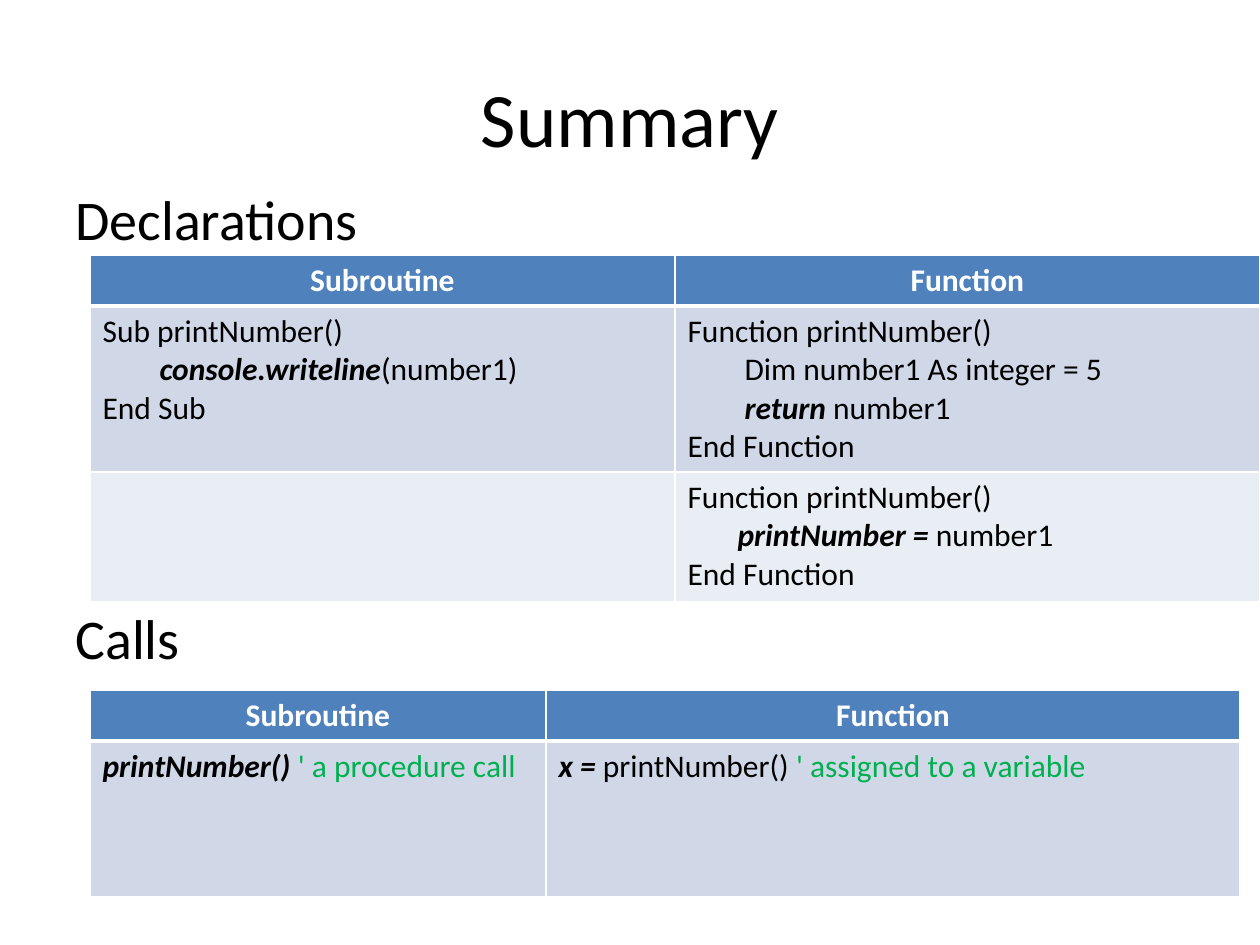
from dataclasses import dataclass

from lxml import etree
from pptx import Presentation
from pptx import util as u
from pptx.dml.color import RGBColor
from pptx.enum import text
from pptx.oxml import ns

EMU_PER_PX = 914400 / 126
FONT = "Calibri"
BLACK, WHITE, GREEN = "000000", "FFFFFF", "00B050"
HEADER_FILL = "4F81BD"
BAND_FILLS = ["D0D8E8", "E9EDF4"]


@dataclass(frozen=True)
class Span:
    words: str
    color: str = BLACK
    bold: bool = False
    italic: bool = False


@dataclass(frozen=True)
class Line:
    spans: list[Span]
    indent: int = 0


@dataclass(frozen=True)
class Heading:
    words: str
    top: int


@dataclass(frozen=True)
class Grid:
    top: int
    widths: list[int]
    heights: list[int]
    rows: list[list[list[Line]]]


def px(length: int) -> u.Emu:
    return u.Emu(round(length * EMU_PER_PX))


def rgb(color: str) -> RGBColor:
    return RGBColor.from_string(color)


def plain(words: str, indent: int = 0) -> Line:
    return Line([Span(words)], indent)


def strong(words: str) -> Span:
    return Span(words, bold=True, italic=True)


def write_line(para, line: Line, size: int) -> None:
    if line.indent:
        para._p.get_or_add_pPr().set("marL", str(px(line.indent)))
    for span in line.spans:
        run = para.add_run()
        run.text = span.words
        run.font.name = FONT
        run.font.size = u.Pt(size)
        run.font.bold = span.bold
        run.font.italic = span.italic
        run.font.color.rgb = rgb(span.color)


def draw_title(page, words: str) -> None:
    title = page.shapes.title
    title.left, title.top, title.width, title.height = map(px, (63, 38, 1134, 157))
    title.text_frame.vertical_anchor = text.MSO_ANCHOR.MIDDLE
    para = title.text_frame.paragraphs[0]
    para.alignment = text.PP_ALIGN.CENTER
    write_line(para, plain(words), 44)


def draw_heading(page, heading: Heading) -> None:
    box = page.shapes.add_textbox(px(63), px(heading.top), px(1134), px(80))
    box.text_frame.word_wrap = True
    write_line(box.text_frame.paragraphs[0], plain(heading.words), 32)


def set_borders(cell, bottom: int) -> None:
    properties = cell._tc.get_or_add_tcPr()
    for place, (side, points) in enumerate(zip("LRTB", (1, 1, 1, bottom))):
        border = etree.Element(ns.qn(f"a:ln{side}"), w=str(u.Pt(points)))
        fill = etree.SubElement(border, ns.qn("a:solidFill"))
        etree.SubElement(fill, ns.qn("a:srgbClr"), val=WHITE)
        properties.insert(place, border)


def fill_cell(cell, lines: list[Line], is_header: bool, color: str) -> None:
    cell.fill.solid()
    cell.fill.fore_color.rgb = rgb(color)
    set_borders(cell, 3 if is_header else 1)
    for index, line in enumerate(lines):
        frame = cell.text_frame
        para = frame.add_paragraph() if index else frame.paragraphs[0]
        if is_header:
            para.alignment = text.PP_ALIGN.CENTER
        write_line(para, line, 18)


def draw_grid(page, grid: Grid) -> None:
    table = page.shapes.add_table(
        len(grid.heights), len(grid.widths), px(90), px(grid.top),
        px(sum(grid.widths)), px(sum(grid.heights)),
    ).table
    for column, width in zip(table.columns, grid.widths):
        column.width = px(width)
    for row, height in zip(table.rows, grid.heights):
        row.height = px(height)
    for r, cells in enumerate(grid.rows):
        color = BAND_FILLS[(r - 1) % 2] if r else HEADER_FILL
        for c, lines in enumerate(cells):
            fill_cell(table.cell(r, c), lines, r == 0, color)


HEADER = [[Line([Span(name, WHITE, bold=True)])] for name in ("Subroutine", "Function")]

HEADINGS = [Heading("Declarations", 178), Heading("Calls", 597)]

DECLARATIONS = Grid(255, [585, 585], [51, 166, 130], [
    HEADER,
    [
        [
            plain("Sub printNumber()"),
            Line([strong("console.writeline"), Span("(number1)")], 57),
            plain("End Sub"),
        ],
        [
            plain("Function printNumber()"),
            plain("Dim number1 As integer = 5", 57),
            Line([strong("return "), Span("number1")], 57),
            plain("End Function"),
        ],
    ],
    [
        [],
        [
            plain("Function printNumber()"),
            Line([strong("printNumber = "), Span("number1")], 50),
            plain("End Function"),
        ],
    ],
])

CALLS = Grid(690, [456, 694], [51, 156], [
    HEADER,
    [
        [Line([strong("printNumber() "), Span("' a procedure call", GREEN)])],
        [Line([strong("x = "), Span("printNumber() "),
               Span("' assigned to a variable", GREEN)])],
    ],
])


def main() -> None:
    deck = Presentation()
    deck.slide_width, deck.slide_height = px(1260), px(945)
    page = deck.slides.add_slide(deck.slide_layouts[5])
    draw_title(page, "Summary")
    for heading in HEADINGS:
        draw_heading(page, heading)
    for grid in (DECLARATIONS, CALLS):
        draw_grid(page, grid)
    deck.save("out.pptx")


if __name__ == "__main__":
    main()
